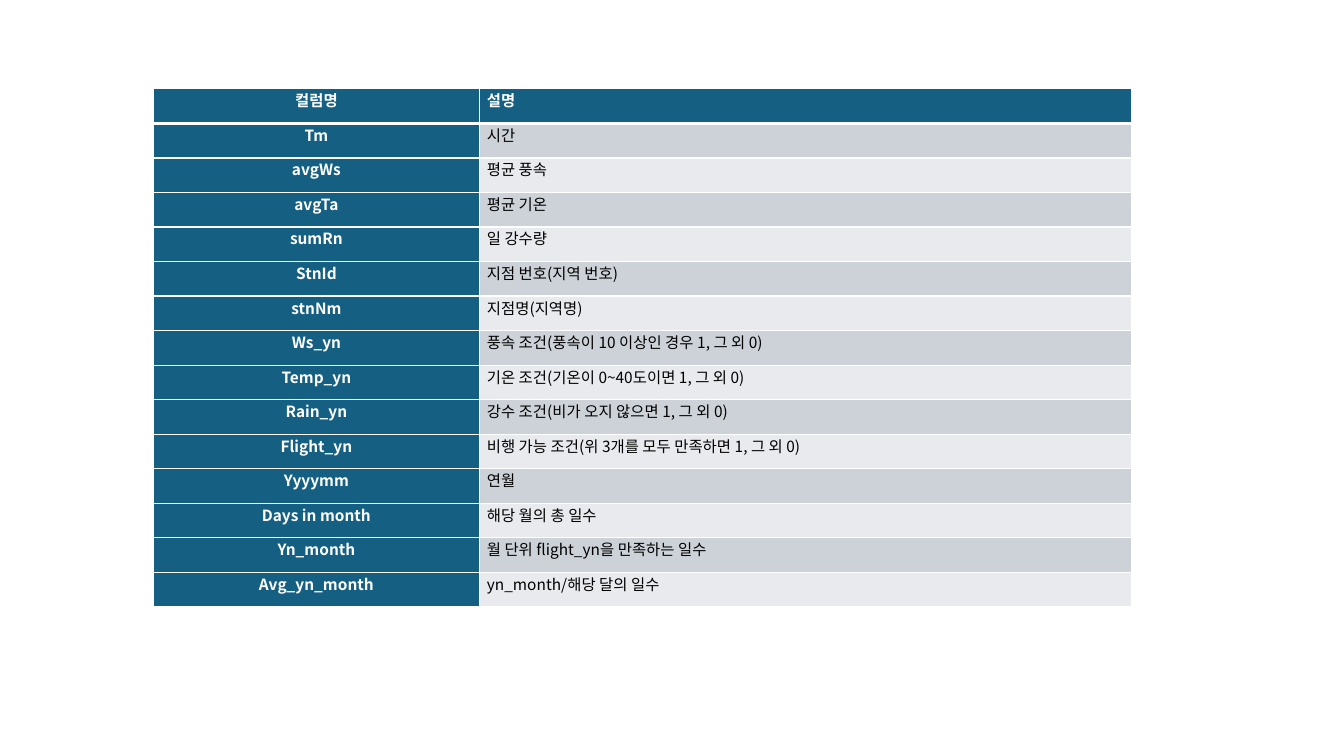
import pptx
import pptx.dml.color
import pptx.enum.text
import pptx.oxml
import pptx.oxml.ns
import pptx.util
from pptx.util import Cm

FONT = "Noto Sans CJK KR"
TEAL, WHITE, BLACK = "156082", "FFFFFF", "000000"
BANDS = ("CCD2D8", "E8EAED")
ROW_HEIGHT = Cm(0.87)
COLUMN_WIDTHS = (Cm(8.21), Cm(16.44))

ROWS = [
    ("컬럼명", "설명"),
    ("Tm", "시간"),
    ("avgWs", "평균 풍속"),
    ("avgTa", "평균 기온"),
    ("sumRn", "일 강수량"),
    ("StnId", "지점 번호(지역 번호)"),
    ("stnNm", "지점명(지역명)"),
    ("Ws_yn", "풍속 조건(풍속이 10 이상인 경우 1, 그 외 0)"),
    ("Temp_yn", "기온 조건(기온이 0~40도이면 1, 그 외 0)"),
    ("Rain_yn", "강수 조건(비가 오지 않으면 1, 그 외 0)"),
    ("Flight_yn", "비행 가능 조건(위 3개를 모두 만족하면 1, 그 외 0)"),
    ("Yyyymm", "연월"),
    ("Days in month", "해당 월의 총 일수"),
    ("Yn_month", "월 단위 flight_yn을 만족하는 일수"),
    ("Avg_yn_month", "yn_month/해당 달의 일수"),
]


def color(value):
    return pptx.dml.color.RGBColor.from_string(value)


def add_border(cell, side, points):
    """Draw a white line on one side (L, R, T or B) of a cell."""
    cell._tc.get_or_add_tcPr().append(pptx.oxml.parse_xml(
        f'<a:ln{side} {pptx.oxml.ns.nsdecls("a")} w="{pptx.util.Pt(points)}">'
        f'<a:solidFill><a:srgbClr val="{WHITE}"/></a:solidFill></a:ln{side}>'))


deck = pptx.Presentation()
deck.slide_width, deck.slide_height = Cm(33.87), Cm(19.05)
page = deck.slides.add_slide(deck.slide_layouts[6])

table = page.shapes.add_table(
    len(ROWS), len(COLUMN_WIDTHS), Cm(3.87), Cm(2.24),
    sum(COLUMN_WIDTHS), ROW_HEIGHT * len(ROWS)).table
for column, width in zip(table.columns, COLUMN_WIDTHS):
    column.width = width

for row_index, texts in enumerate(ROWS):
    table.rows[row_index].height = ROW_HEIGHT
    for column_index, text in enumerate(texts):
        cell = table.cell(row_index, column_index)
        is_heading = row_index == 0 or column_index == 0

        # The line between the header and the first data row is thicker
        borders = {"L": 1, "R": 1,
                   "T": 3 if row_index == 1 else 1,
                   "B": 3 if row_index == 0 else 1}
        for side, points in borders.items():
            add_border(cell, side, points)
        cell.fill.solid()
        cell.fill.fore_color.rgb = color(TEAL if is_heading else BANDS[(row_index - 1) % 2])

        margins = {"margin_left": Cm(0.19), "margin_right": Cm(0.19),
                   "margin_top": 0, "margin_bottom": 0}
        for name, value in margins.items():
            setattr(cell, name, value)

        para = cell.text_frame.paragraphs[0]
        para.space_after = pptx.util.Pt(8)
        if column_index == 0:
            para.alignment = pptx.enum.text.PP_ALIGN.CENTER
        span = para.add_run()
        span.text = text
        font_format = {"name": FONT, "size": pptx.util.Pt(11), "bold": is_heading}
        for name, value in font_format.items():
            setattr(span.font, name, value)
        span.font.color.rgb = color(WHITE if is_heading else BLACK)
        span._r.get_or_add_rPr().append(pptx.oxml.parse_xml(
            f'<a:ea {pptx.oxml.ns.nsdecls("a")} typeface="{FONT}"/>'))

deck.save("out.pptx")
